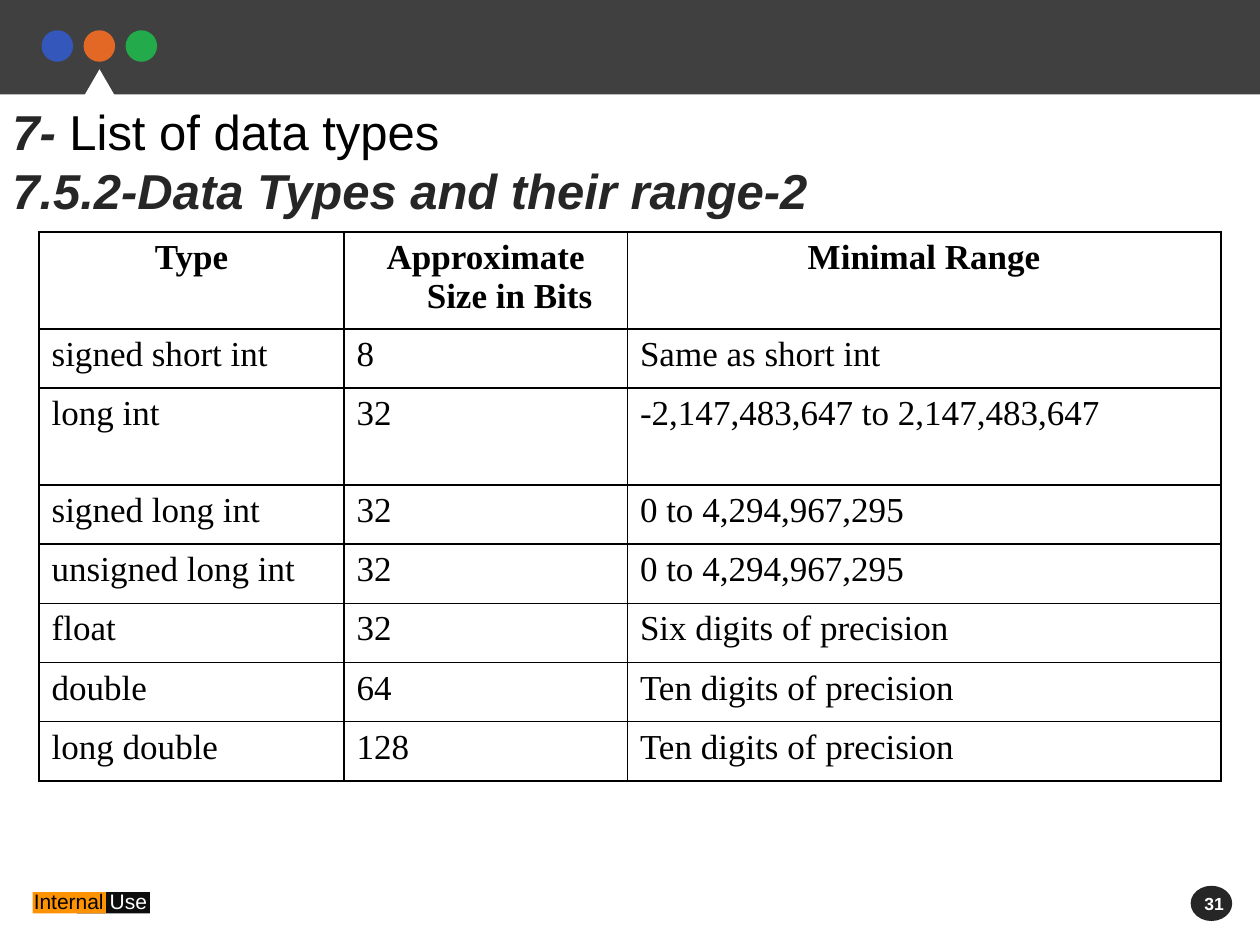
from typing import NamedTuple

from lxml.etree import SubElement
from pptx import Presentation
from pptx.dml.color import RGBColor
from pptx.enum.shapes import MSO_SHAPE
from pptx.enum.text import PP_ALIGN
from pptx.oxml.ns import qn
from pptx.util import Inches, Pt

BLACK, WHITE, CHARCOAL = "000000", "FFFFFF", "262626"
HANGING_INDENT = 0.38


class Box(NamedTuple):
    left: float
    top: float
    width: float
    height: float

    def lengths(self) -> list:
        return [Inches(value) for value in self]


class Style(NamedTuple):
    size: float
    colour: str
    bold: bool = False
    italic: bool = False
    font: str = "Arial"


class Figure(NamedTuple):
    preset: MSO_SHAPE
    box: Box
    colour: str


class DataType(NamedTuple):
    name: str
    bits: str
    value_range: str
    height: float = 0.47


HEADER = DataType("Type", "Approximate Size in Bits", "Minimal Range", 0.77)
DATA_TYPES = [
    DataType("signed short int", "8", "Same as short int"),
    DataType("long int", "32", "-2,147,483,647 to 2,147,483,647", 0.77),
    DataType("signed long int", "32", "0 to 4,294,967,295"),
    DataType("unsigned long int", "32", "0 to 4,294,967,295"),
    DataType("float", "32", "Six digits of precision"),
    DataType("double", "64", "Ten digits of precision"),
    DataType("long double", "128", "Ten digits of precision"),
]
COLUMN_WIDTHS = [2.42, 2.25, 4.71]

DOT_COLOURS = ["3357BB", "E46825", "23AA4A"]
BANNER = [
    Figure(MSO_SHAPE.RECTANGLE, Box(0, 0, 10, 0.75), "404040"),
    *(
        Figure(MSO_SHAPE.OVAL, Box(0.33 + index / 3, 0.24, 0.25, 0.25), colour)
        for index, colour in enumerate(DOT_COLOURS)
    ),
    Figure(MSO_SHAPE.ISOSCELES_TRIANGLE, Box(0.5, 0.55, 0.58, 0.5), WHITE),
]
LABEL_BLOCKS = [
    Figure(MSO_SHAPE.RECTANGLE, Box(0.61, 7.08, 0.58, 0.17), "0D0D0D"),
    Figure(MSO_SHAPE.RECTANGLE, Box(0.26, 7.08, 0.58, 0.17), "FD9203"),
]
PAGE_BADGE = Figure(MSO_SHAPE.OVAL, Box(9.45, 7.03, 0.33, 0.28), CHARCOAL)

HEADING = Style(28, CHARCOAL, bold=True, italic=True)
TITLE_LINES = [
    [("7- ", HEADING), ("List of data types", Style(28, BLACK))],
    [("7.5.2-Data Types and their range-2", HEADING)],
]
LABEL_LINES = [[("Internal ", Style(12, BLACK)), ("Use", Style(12, WHITE))]]
PAGE_LINES = [[("31", Style(10, WHITE, bold=True))]]


def rgb(colour: str) -> RGBColor:
    return RGBColor.from_string(colour)


def draw_figure(slide, figure: Figure) -> None:
    shape = slide.shapes.add_shape(figure.preset, *figure.box.lengths())
    shape.shadow.inherit = False
    shape.fill.solid()
    shape.fill.fore_color.rgb = rgb(figure.colour)
    shape.line.fill.background()


def add_run(paragraph, text: str, style: Style) -> None:
    run = paragraph.add_run()
    run.text = text
    run.font.name = style.font
    run.font.size = Pt(style.size)
    run.font.bold = style.bold
    run.font.italic = style.italic
    run.font.color.rgb = rgb(style.colour)


def draw_text(slide, box: Box, lines: list, left_margin: float = 0.1) -> None:
    frame = slide.shapes.add_textbox(*box.lengths()).text_frame
    frame.word_wrap = True
    frame.margin_left = Inches(left_margin)
    for index, line in enumerate(lines):
        paragraph = frame.add_paragraph() if index else frame.paragraphs[0]
        for text, style in line:
            add_run(paragraph, text, style)


def add_borders(cell) -> None:
    """Put a thin black line on each side; the lines precede the fill."""
    properties = cell._tc.get_or_add_tcPr()
    for position, side in enumerate(("lnL", "lnR", "lnT", "lnB")):
        line = SubElement(properties, qn(f"a:{side}"), w=str(Pt(1)))
        fill = SubElement(line, qn("a:solidFill"))
        SubElement(fill, qn("a:srgbClr"), val=BLACK)
        properties.insert(position, line)


def fill_cell(cell, text: str, is_header: bool) -> None:
    cell.fill.background()
    add_borders(cell)
    paragraph = cell.text_frame.paragraphs[0]
    paragraph.alignment = PP_ALIGN.CENTER if is_header else PP_ALIGN.JUSTIFY
    indents = paragraph._p.get_or_add_pPr()
    indents.set("marL", str(Inches(HANGING_INDENT)))
    indents.set("indent", str(Inches(-HANGING_INDENT)))
    add_run(paragraph, text, Style(20, BLACK, is_header, font="Times New Roman"))


def draw_data_types(slide, left: float, top: float) -> None:
    records = [HEADER, *DATA_TYPES]
    box = Box(left, top, sum(COLUMN_WIDTHS), sum(r.height for r in records))
    table = slide.shapes.add_table(
        len(records), len(COLUMN_WIDTHS), *box.lengths()
    ).table
    table.horz_banding = False
    for column, width in zip(table.columns, COLUMN_WIDTHS):
        column.width = Inches(width)
    for row, record in zip(table.rows, records):
        row.height = Inches(record.height)
        for cell, text in zip(row.cells, record[:3]):
            fill_cell(cell, text, record is HEADER)


def main() -> None:
    presentation = Presentation()
    presentation.slide_width = Inches(10)
    presentation.slide_height = Inches(7.5)
    slide = presentation.slides.add_slide(presentation.slide_layouts[6])

    for figure in BANNER + LABEL_BLOCKS:
        draw_figure(slide, figure)
    draw_text(slide, Box(0.17, 7, 1.5, 0.3), LABEL_LINES)
    draw_data_types(slide, 0.31, 1.84)
    draw_text(slide, Box(0, 0.76, 9.53, 1.04), TITLE_LINES)
    draw_figure(slide, PAGE_BADGE)
    draw_text(slide, Box(9.38, 7.04, 0.83, 0.27), PAGE_LINES, left_margin=0.18)

    presentation.save("out.pptx")


if __name__ == "__main__":
    main()
